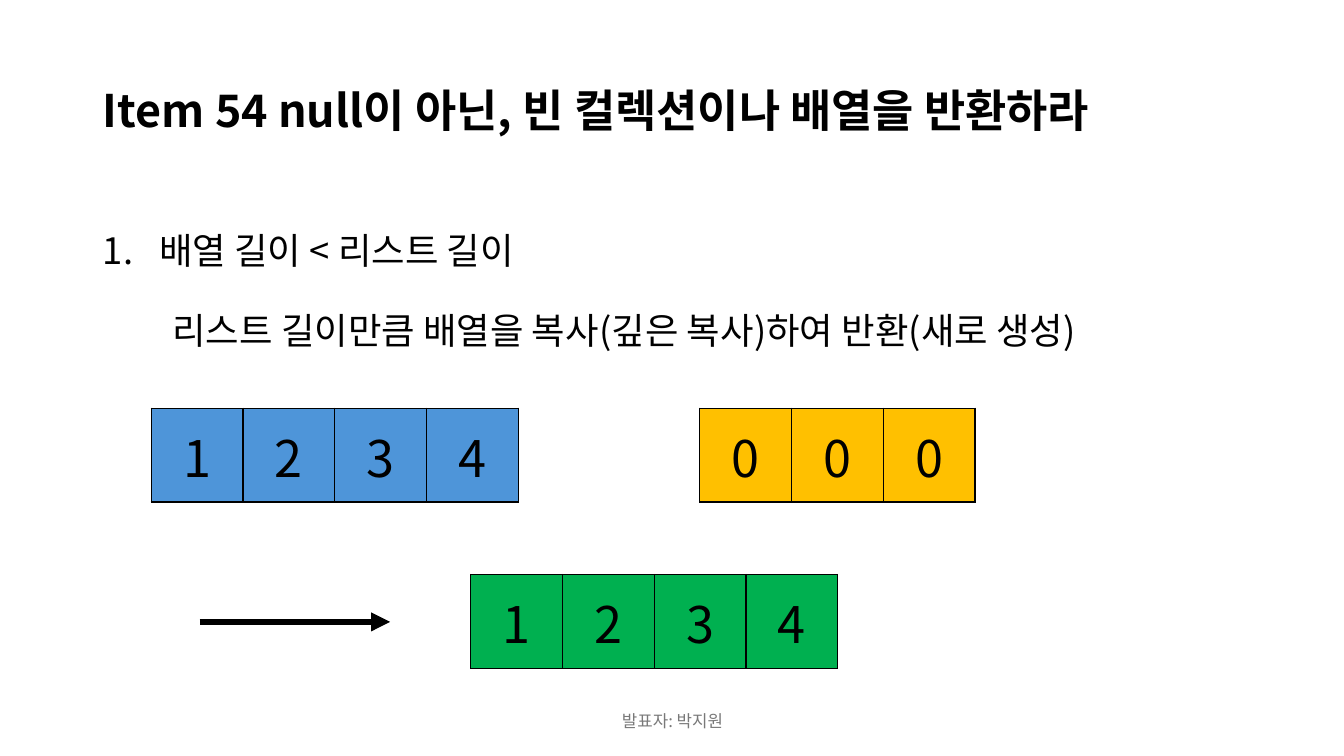
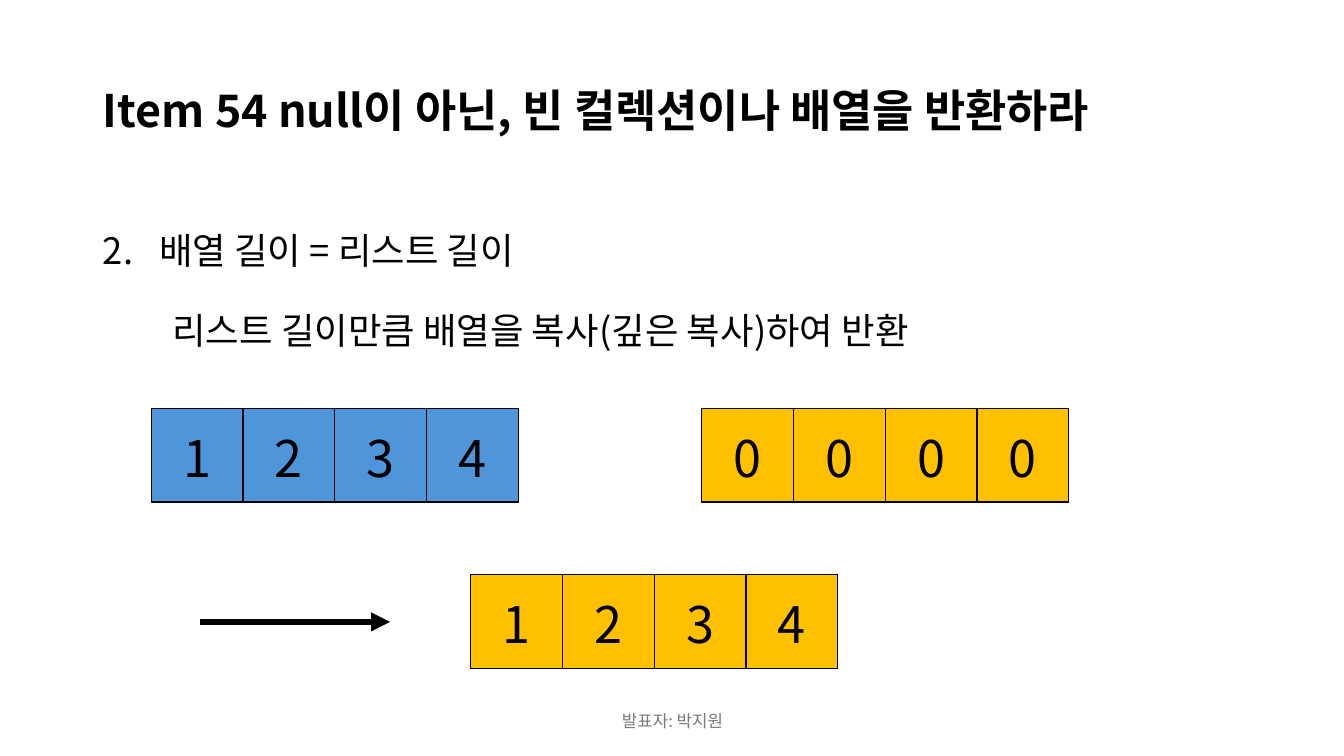
from lxml import etree
from pptx import Presentation
from pptx.dml.color import RGBColor
from pptx.enum import shapes, text
from pptx.oxml.ns import qn
from pptx.util import Inches, Pt

FONT = "Noto Sans CJK KR"
BLACK = RGBColor(0x00, 0x00, 0x00)
GRAY = RGBColor(0x79, 0x79, 0x79)
BLUE = RGBColor(0x4E, 0x95, 0xD9)
YELLOW = RGBColor(0xFF, 0xC0, 0x00)
GREEN = RGBColor(0x00, 0xB0, 0x50)
CELL_W, CELL_H = 0.91, 0.93
TOP_ROW, RESULT_ROW = 4.05, 5.7
LEFT, CENTER = text.PP_ALIGN.LEFT, text.PP_ALIGN.CENTER

# Content: each array is (values, left, top, fill)
TITLE = "Item 54 null이 아닌, 빈 컬렉션이나 배열을 반환하라"
FOOTER = "발표자: 박지원"
SLIDES = [
    {"case": "배열 길이 < 리스트 길이",
     "detail": "리스트 길이만큼 배열을 복사(깊은 복사)하여 반환(새로 생성)",
     "arrays": [("1234", 1.5, TOP_ROW, BLUE),
                ("000", 6.94, TOP_ROW, YELLOW),
                ("1234", 4.67, RESULT_ROW, GREEN)]},
    {"case": "배열 길이 = 리스트 길이",
     "detail": "리스트 길이만큼 배열을 복사(깊은 복사)하여 반환",
     "arrays": [("1234", 1.5, TOP_ROW, BLUE),
                ("0000", 6.96, TOP_ROW, YELLOW),
                ("1234", 4.67, RESULT_ROW, YELLOW)]},
]


def place(sp, left, top, width, height):
    sp.left, sp.top = Inches(left), Inches(top)
    sp.width, sp.height = Inches(width), Inches(height)


def write(p, words, size, color=BLACK, align=LEFT, bold=False):
    p.text = words
    p.alignment = align
    p.font.size, p.font.bold, p.font.name = Pt(size), bold, FONT
    p.font.color.rgb = color
    # Korean glyphs use the East Asian typeface
    defaults = p._p.get_or_add_pPr().find(qn("a:defRPr"))
    etree.SubElement(defaults, qn("a:ea"), typeface=FONT)


def set_list(p, indent, hanging, bullet, **attrs):
    pPr = p._p.get_or_add_pPr()
    pPr.set("marL", str(Inches(indent)))
    pPr.set("indent", str(Inches(hanging)))
    mark = etree.Element(qn(bullet), **attrs)
    pPr.find(qn("a:defRPr")).addprevious(mark)


def add_body(s, number, case, detail):
    sp = s.placeholders[1]
    place(sp, 0.92, 2, 11.5, 4.76)
    tf = sp.text_frame
    tf.auto_size = text.MSO_AUTO_SIZE.NONE
    for p, words in ((tf.paragraphs[0], case), (tf.add_paragraph(), detail)):
        write(p, words, 26)
        p.line_spacing, p.space_before = 1.5, Pt(10)
    set_list(tf.paragraphs[0], 0.56, -0.56, "a:buAutoNum",
             type="arabicPeriod", startAt=str(number))
    set_list(tf.paragraphs[1], 0.69, 0, "a:buNone")


def add_borders(cell):
    tcPr = cell._tc.get_or_add_tcPr()
    for i, side in enumerate(("a:lnL", "a:lnR", "a:lnT", "a:lnB")):
        ln = etree.Element(qn(side), w=str(Pt(1)))
        fill = etree.SubElement(ln, qn("a:solidFill"))
        etree.SubElement(fill, qn("a:srgbClr"), val=str(BLACK))
        tcPr.insert(i, ln)


def add_array(s, values, left, top, color):
    frame = s.shapes.add_table(1, len(values), Inches(left), Inches(top),
                               Inches(CELL_W * len(values)), Inches(CELL_H))
    table = frame.table
    table.first_row = table.horz_banding = False
    for column, cell, value in zip(table.columns, table.iter_cells(), values):
        column.width = Inches(CELL_W)
        cell.vertical_anchor = text.MSO_ANCHOR.MIDDLE
        cell.fill.solid()
        cell.fill.fore_color.rgb = color
        add_borders(cell)
        write(cell.text_frame.paragraphs[0], value, 36, align=CENTER)


def add_arrow(s):
    arrow = s.shapes.add_connector(shapes.MSO_CONNECTOR.STRAIGHT, Inches(1.98),
                                   Inches(6.17), Inches(3.87), Inches(6.17))
    arrow.line.color.rgb = BLACK
    arrow.line.width = Pt(4.5)
    etree.SubElement(arrow.line._get_or_add_ln(), qn("a:tailEnd"), type="triangle")
    etree.SubElement(arrow._element.spPr, qn("a:effectLst"))


def add_frame(s):
    # Title and footer shared by all slides
    place(s.shapes.title, 0.92, 0.4, 11.5, 1.45)
    tf = s.shapes.title.text_frame
    tf.auto_size = text.MSO_AUTO_SIZE.NONE
    tf.vertical_anchor = text.MSO_ANCHOR.MIDDLE
    write(tf.paragraphs[0], TITLE, 32, bold=True)
    tf.paragraphs[0].line_spacing = 0.9
    footer = s.shapes.add_textbox(Inches(4.42), Inches(6.95), Inches(4.5), Inches(0.4))
    tf = footer.text_frame
    tf.word_wrap = True
    tf.vertical_anchor = text.MSO_ANCHOR.MIDDLE
    write(tf.paragraphs[0], FOOTER, 12, GRAY, CENTER)


def main():
    prs = Presentation()
    prs.slide_width, prs.slide_height = Inches(13.33), Inches(7.5)
    for number, content in enumerate(SLIDES, 1):
        s = prs.slides.add_slide(prs.slide_layouts[1])
        add_frame(s)
        add_body(s, number, content["case"], content["detail"])
        for array in content["arrays"]:
            add_array(s, *array)
        add_arrow(s)
    prs.save("out.pptx")


if __name__ == "__main__":
    main()
